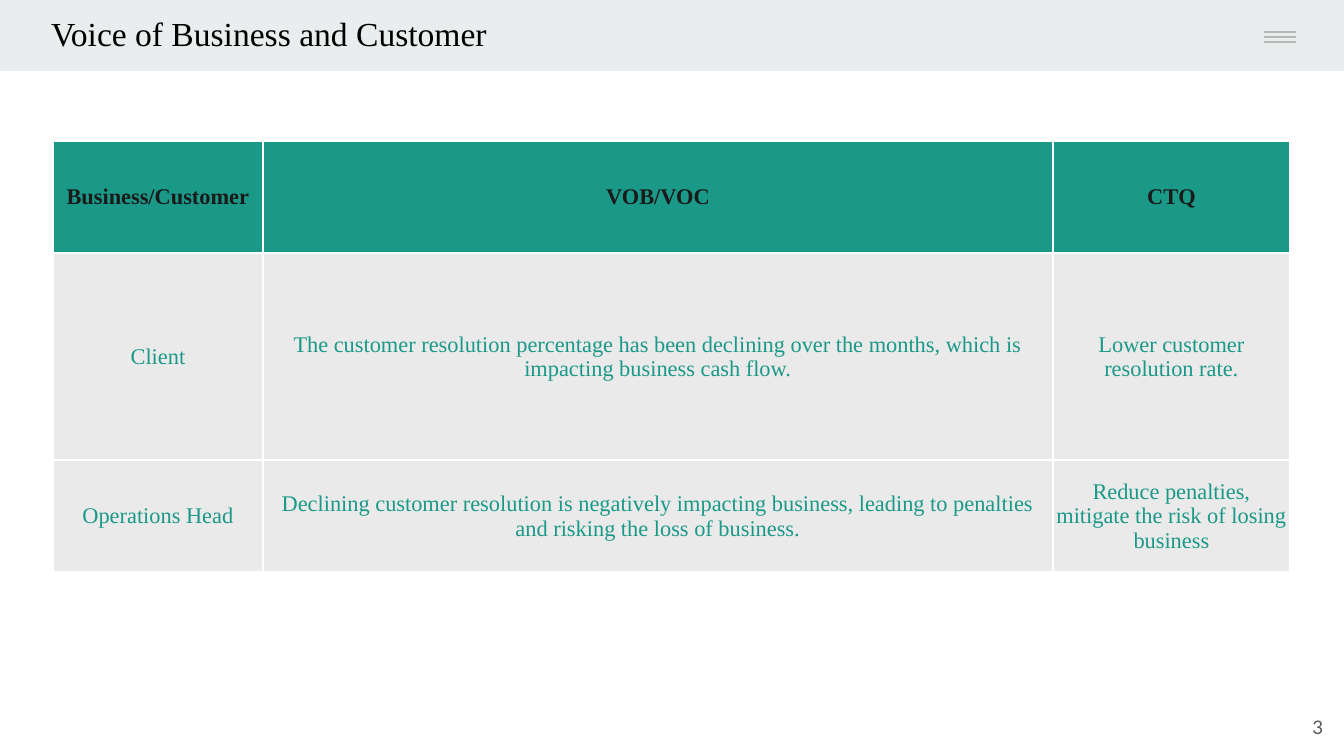
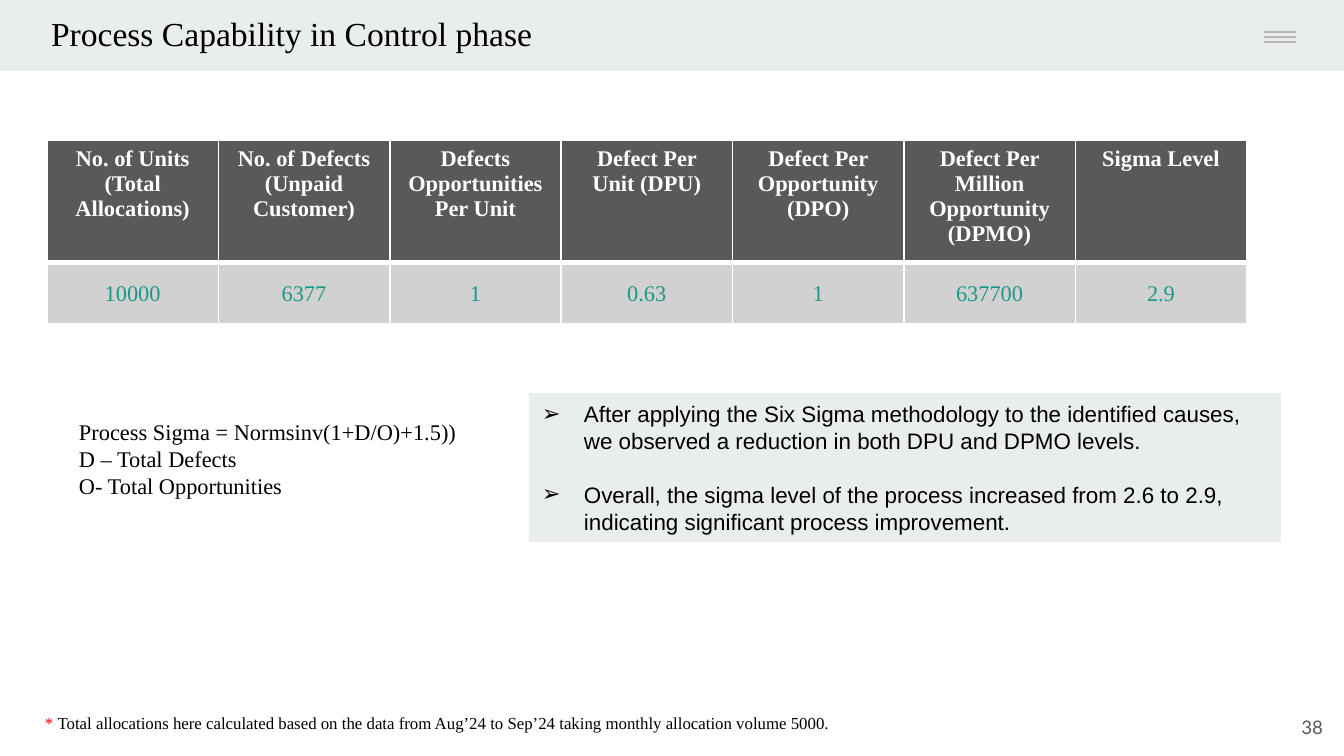
from dataclasses import dataclass
from lxml.etree import SubElement
from pptx import Presentation
from pptx.dml.color import RGBColor
from pptx.enum.shapes import MSO_CONNECTOR, MSO_SHAPE
from pptx.enum.text import MSO_ANCHOR as ANCHOR, PP_ALIGN as ALIGN
from pptx.oxml.ns import qn
from pptx.util import Pt

# ---- Content ----
VOICE = {
    "title": "Voice of Business and Customer",
    "number": 3,
    "rows": [
        ("Business/Customer", "VOB/VOC", "CTQ"),
        ("Client",
         "The customer resolution percentage has been declining over the months, "
         "which is impacting business cash flow.",
         "Lower customer resolution rate."),
        ("Operations Head",
         "Declining customer resolution is negatively impacting business, "
         "leading to penalties and risking the loss of business.",
         "Reduce penalties, mitigate the risk of losing business"),
    ],
}
CAPABILITY = {
    "title": "Process Capability in Control phase",
    "number": 38,
    "rows": [
        ("No. of Units (Total Allocations)", "No. of Defects (Unpaid Customer)",
         "Defects Opportunities Per Unit", "Defect Per Unit (DPU)",
         "Defect Per Opportunity (DPO)", "Defect Per Million Opportunity (DPMO)",
         "Sigma Level"),
        ("10000", "6377", "1", "0.63", "1", "637700", "2.9"),
    ],
    "formula": ["Process Sigma = Normsinv(1+D/O)+1.5))",
                "D – Total Defects",
                "O- Total Opportunities"],
    "findings": [
        "After applying the Six Sigma methodology to the identified causes, "
        "we observed a reduction in both DPU and DPMO levels.",
        "Overall, the sigma level of the process increased from 2.6 to 2.9, "
        "indicating significant process improvement.",
    ],
    "footnote": ("* ", "Total allocations here calculated based on the data from "
                       "Aug’24 to Sep’24 taking monthly allocation volume 5000."),
}


# ---- Theme ----
@dataclass(frozen=True)
class Theme:
    teal: str = "1A9988"
    ink: str = "1A1A1A"
    black: str = "000000"
    white: str = "FFFFFF"
    red: str = "FF0000"
    band: str = "E9EDEE"
    rule: str = "B7B7B7"
    gray: str = "595959"
    pale: str = "EAEAEA"
    silver: str = "D1D1D1"
    serif: str = "Times New Roman"
    sans: str = "Arial"
    number: str = "Lato"
    title_size: int = 18
    body_size: int = 12
    number_size: int = 10
    note_size: int = 9


T = Theme()
W, H = 1344, 756
INSET = (13, 7, 13, 7)
TIGHT = (1, 1, 1, 0)


def px(n):
    return round(n * 914400 / 134.4)


def rgb(color):
    return RGBColor.from_string(color)


# ---- Helpers ----
def style(p, size=T.body_size, color=T.black, font=T.serif, bold=False):
    for r in p.runs:
        r.font.size, r.font.name, r.font.bold = Pt(size), font, bold
        r.font.color.rgb = rgb(color)


def set_margins(box, inset):
    box.margin_left, box.margin_top, box.margin_right, box.margin_bottom = map(px, inset)


def add_text(slide, x, y, w, h, lines, inset=INSET, anchor=ANCHOR.TOP,
             align=ALIGN.LEFT, **look):
    tf = slide.shapes.add_textbox(px(x), px(y), px(w), px(h)).text_frame
    tf.word_wrap, tf.vertical_anchor = True, anchor
    set_margins(tf, inset)
    tf.text = "\n".join(lines)
    for p in tf.paragraphs:
        p.alignment = align
        style(p, **look)
    return tf


def add_rect(slide, x, y, w, h, color):
    sp = slide.shapes.add_shape(MSO_SHAPE.RECTANGLE, px(x), px(y), px(w), px(h))
    sp.shadow.inherit = False
    sp.fill.solid()
    sp.fill.fore_color.rgb = rgb(color)
    sp.line.fill.background()
    return sp


def add_rule(slide, x1, x2, y):
    line = slide.shapes.add_connector(MSO_CONNECTOR.STRAIGHT, px(x1), px(y), px(x2), px(y))
    line.line.color.rgb = rgb(T.rule)
    line.line.width = Pt(0.75)
    SubElement(line._element.spPr, qn("a:effectLst"))


def set_borders(cell, **widths):
    tcPr = cell._tc.get_or_add_tcPr()
    for side in "LRTB":
        ln = SubElement(tcPr, qn(f"a:ln{side}"), w=str(Pt(widths.get(side, 1))))
        SubElement(SubElement(ln, qn("a:solidFill")), qn("a:srgbClr"), val=T.white)


def add_grid(slide, x, y, cols, heights, rows, head, body, divider=1):
    """head and body hold fill, text colour, margins and anchor."""
    table = slide.shapes.add_table(len(rows), len(cols), px(x), px(y),
                                   px(sum(cols)), px(sum(heights))).table
    table.horz_banding = False
    for col, w in zip(table.columns, cols):
        col.width = px(w)
    for i, (row, h, texts) in enumerate(zip(table.rows, heights, rows)):
        row.height = px(h)
        fill, color, inset, anchor = body if i else head
        edge = {1: "T", 0: "B"}.get(i)
        for cell, text in zip(row.cells, texts):
            set_borders(cell, **({edge: divider} if edge else {}))
            cell.fill.solid()
            cell.fill.fore_color.rgb = rgb(fill)
            cell.vertical_anchor = anchor
            set_margins(cell, inset)
            cell.text = text
            p = cell.text_frame.paragraphs[0]
            p.alignment = ALIGN.CENTER
            style(p, color=color, bold=i == 0)


def add_bullet(p, char, indent):
    pPr = p._p.get_or_add_pPr()
    pPr.set("marL", str(px(indent)))
    pPr.set("indent", str(-px(indent)))
    SubElement(SubElement(pPr, qn("a:buClr")), qn("a:srgbClr"), val=T.black)
    SubElement(pPr, qn("a:buFont"), typeface=T.sans)
    SubElement(pPr, qn("a:buChar"), char=char)


def add_frame(prs, content):
    """Blank slide with band, menu mark, title and page number."""
    slide = prs.slides.add_slide(prs.slide_layouts[6])
    add_rect(slide, 0, 0, W, 71, T.band)
    add_rect(slide, 1218, 0, W - 1218, 67, T.band)
    for i in range(3):
        add_rule(slide, 1264, 1296, 32 + 5 * i)
    add_text(slide, 30, 0, 1181, 71, [content["title"]], inset=(21, 13, 13, 13),
             size=T.title_size)
    add_text(slide, 1255, 698, 81, 58, [str(content["number"])], inset=(13,) * 4,
             anchor=ANCHOR.MIDDLE, align=ALIGN.RIGHT,
             size=T.number_size, color=T.gray, font=T.number)
    return slide


# ---- Slides ----
def build_voice(prs):
    slide = add_frame(prs, VOICE)
    add_grid(slide, 53, 141, (210, 790, 237), (112, 207, 112), VOICE["rows"],
             head=(T.teal, T.ink, TIGHT, ANCHOR.MIDDLE),
             body=(T.pale, T.teal, TIGHT, ANCHOR.MIDDLE))


def build_capability(prs):
    slide = add_frame(prs, CAPABILITY)
    rows = CAPABILITY["rows"]
    count = len(rows[0])

    # Findings panel
    tf = add_rect(slide, 529, 393, 752, 149, T.band).text_frame
    tf.word_wrap, tf.vertical_anchor = True, ANCHOR.TOP
    set_margins(tf, INSET)
    tf.text = "\n".join(CAPABILITY["findings"])
    for i, p in enumerate(tf.paragraphs):
        add_bullet(p, "➢", 42)
        p.alignment = ALIGN.LEFT
        if i:
            p.space_before = Pt(14.5)
        style(p, font=T.sans)

    # Sigma table
    add_grid(slide, 47, 140, [1200 / count] * count, (123, 61), rows,
             head=(T.gray, T.white, INSET, ANCHOR.TOP),
             body=(T.silver, T.teal, TIGHT, ANCHOR.MIDDLE), divider=3)

    # Formula and footnote
    add_text(slide, 66, 411, 480, 95, CAPABILITY["formula"])
    mark, note = CAPABILITY["footnote"]
    tf = add_text(slide, 32, 706, 1215, 34, [mark], size=T.note_size)
    p = tf.paragraphs[0]
    p.add_run().text = note
    style(p, size=T.note_size)
    p.runs[0].font.color.rgb = rgb(T.red)


def main():
    prs = Presentation()
    prs.slide_width, prs.slide_height = px(W), px(H)
    build_voice(prs)
    build_capability(prs)
    prs.save("out.pptx")


if __name__ == "__main__":
    main()
